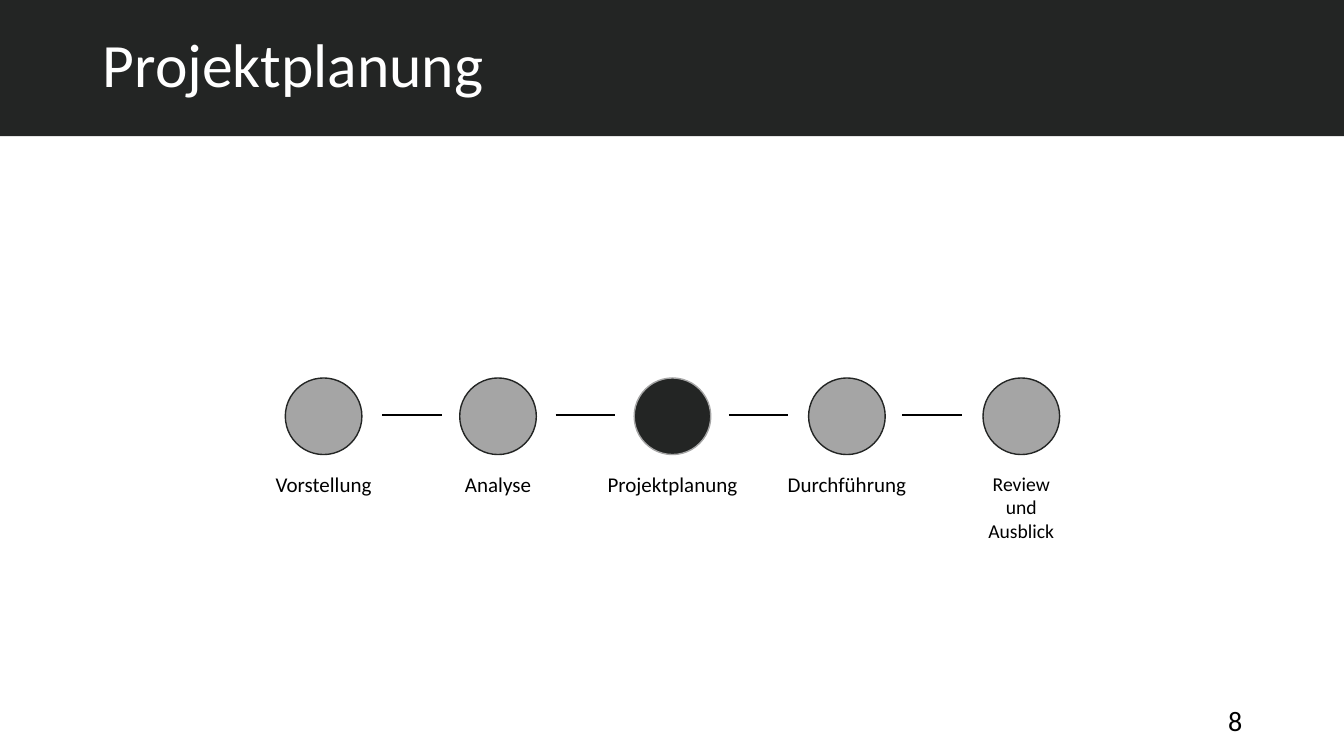
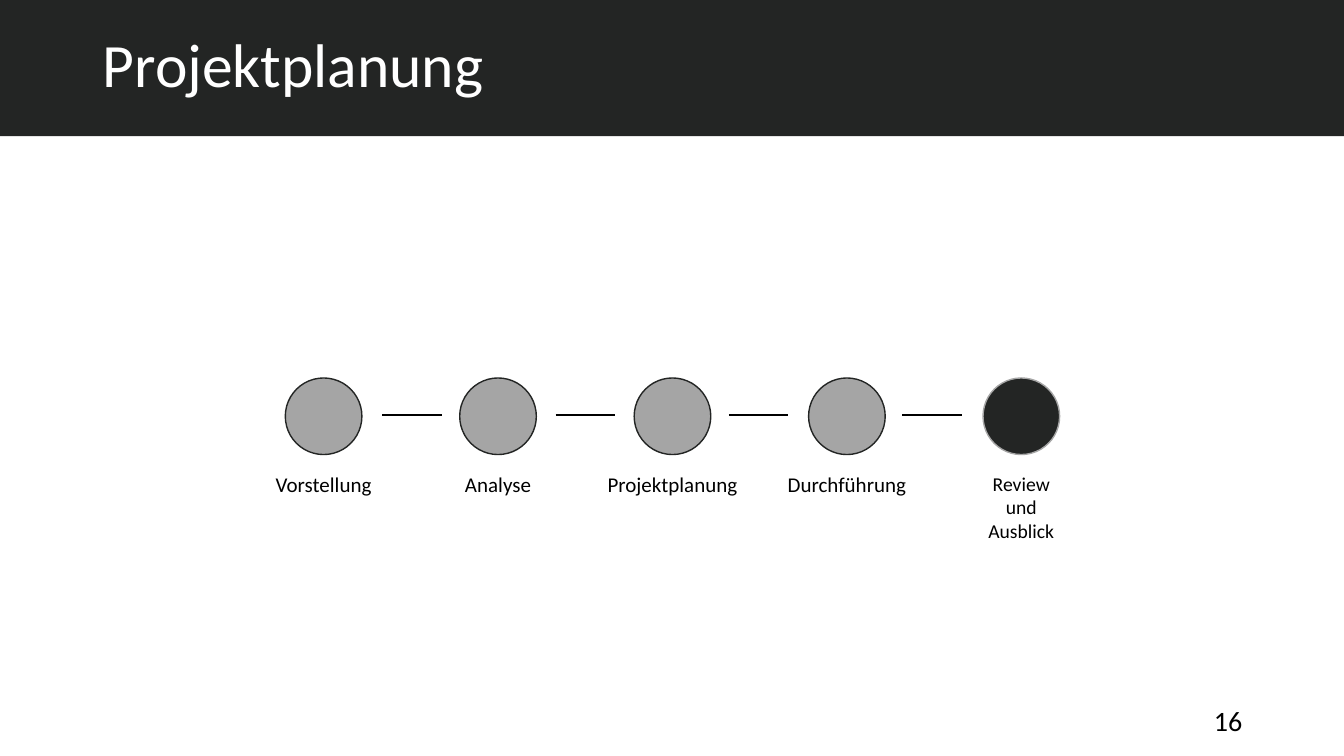
import dataclasses

import lxml.etree
import pptx
import pptx.dml.color
import pptx.enum.shapes
import pptx.enum.text
import pptx.oxml.ns
import pptx.util

Inches = pptx.util.Inches
Pt = pptx.util.Pt
RGB = pptx.dml.color.RGBColor
ALIGN = pptx.enum.text.PP_ALIGN
ANCHOR = pptx.enum.text.MSO_ANCHOR
SHAPE = pptx.enum.shapes.MSO_SHAPE
qn = pptx.oxml.ns.qn


@dataclasses.dataclass(frozen=True)
class Theme:
    font: str = "Calibri"
    dark: RGB = RGB(0x23, 0x25, 0x24)
    grey: RGB = RGB(0xA5, 0xA5, 0xA5)
    white: RGB = RGB(0xFF, 0xFF, 0xFF)
    black: RGB = RGB(0, 0, 0)
    title_size: int = 44
    number_size: int = 20
    label_size: int = 15
    long_label_size: int = 14


THEME = Theme()
SLIDE_WIDTH, SLIDE_HEIGHT = 13.33, 7.5
TITLE = "Projektplanung"
PHASES = ["Vorstellung", "Analyse", "Projektplanung", "Durchführung",
          "Review\vund\vAusblick"]
PAGES = [("8", 2), ("16", 4)]

PHASE_STEP = 1.73
FIRST_CENTRE = 6.67 - 2 * PHASE_STEP
DOT_TOP, DOT_SIZE = 3.75, 0.76
LABEL_TOP, LABEL_WIDTH = 4.63, 1.76
LINK_LEFT, LINK_STEP, LINK_LENGTH, LINK_Y = 3.79, 1.72, 0.59, 4.12


def write(holder, text, size, color=THEME.black, align=ALIGN.LEFT,
          anchor=ANCHOR.TOP, spacing=1.0):
    frame = holder.text_frame
    frame.word_wrap = True
    frame.vertical_anchor = anchor
    paragraph = frame.paragraphs[0]
    paragraph.text = text
    paragraph.alignment = align
    paragraph.line_spacing = spacing
    for run in paragraph.runs:
        run.font.name = THEME.font
        run.font.size = Pt(size)
        run.font.color.rgb = color
    for line_break in holder.element.iter(qn("a:br")):
        lxml.etree.SubElement(line_break, qn("a:rPr"), sz=str(size * 100))


def add_text(slide, text, left, top, width, height, **style):
    holder = slide.shapes.add_textbox(Inches(left), Inches(top),
                                      Inches(width), Inches(height))
    write(holder, text, **style)


def add_filled(slide, kind, left, top, width, height, fill, outline=None):
    shape = slide.shapes.add_shape(kind, Inches(left), Inches(top),
                                   Inches(width), Inches(height))
    shape.shadow.inherit = False
    shape.fill.solid()
    shape.fill.fore_color.rgb = fill
    if outline is None:
        shape.line.fill.background()
    else:
        shape.line.color.rgb = outline
        shape.line.width = Pt(1)
    return shape


def add_link(slide, left):
    link = slide.shapes.add_connector(
        pptx.enum.shapes.MSO_CONNECTOR.STRAIGHT, Inches(left), Inches(LINK_Y),
        Inches(left + LINK_LENGTH), Inches(LINK_Y))
    link.line.color.rgb = THEME.black
    link.line.width = Pt(1.5)
    lxml.etree.SubElement(link.element.spPr, qn("a:effectLst"))


def add_frame(slide, number):
    title = slide.shapes.title
    title.left, title.top = Inches(0.92), Inches(0.2)
    title.width, title.height = Inches(11.5), Inches(0.95)
    write(title, TITLE, size=THEME.title_size, color=THEME.white,
          anchor=ANCHOR.MIDDLE, spacing=0.9)
    band = add_filled(slide, SHAPE.RECTANGLE, 0, 0, SLIDE_WIDTH, 1.35, THEME.dark)
    title.element.addprevious(band.element)
    add_text(slide, number, 9.42, 6.95, 3, 0.4, size=THEME.number_size,
             align=ALIGN.RIGHT, anchor=ANCHOR.MIDDLE)


def add_phase(slide, index, label, active):
    centre = FIRST_CENTRE + index * PHASE_STEP
    fill, outline = THEME.grey, THEME.dark
    if active:
        fill, outline = outline, fill
    add_filled(slide, SHAPE.FLOWCHART_CONNECTOR, centre - DOT_SIZE / 2, DOT_TOP,
               DOT_SIZE, DOT_SIZE, fill, outline)
    lines = label.count("\v") + 1
    size = THEME.label_size if lines == 1 else THEME.long_label_size
    add_text(slide, label, centre - LABEL_WIDTH / 2, LABEL_TOP, LABEL_WIDTH,
             0.35 * lines, size=size, align=ALIGN.CENTER)


def add_timeline(slide, current):
    for index, label in enumerate(PHASES):
        add_phase(slide, index, label, index == current)
    for index in range(len(PHASES) - 1):
        add_link(slide, LINK_LEFT + index * LINK_STEP)


def main():
    deck = pptx.Presentation()
    deck.slide_width, deck.slide_height = Inches(SLIDE_WIDTH), Inches(SLIDE_HEIGHT)
    title_only = deck.slide_layouts[5]
    for number, current in PAGES:
        slide = deck.slides.add_slide(title_only)
        add_frame(slide, number)
        add_timeline(slide, current)
    deck.save("out.pptx")


if __name__ == "__main__":
    main()
